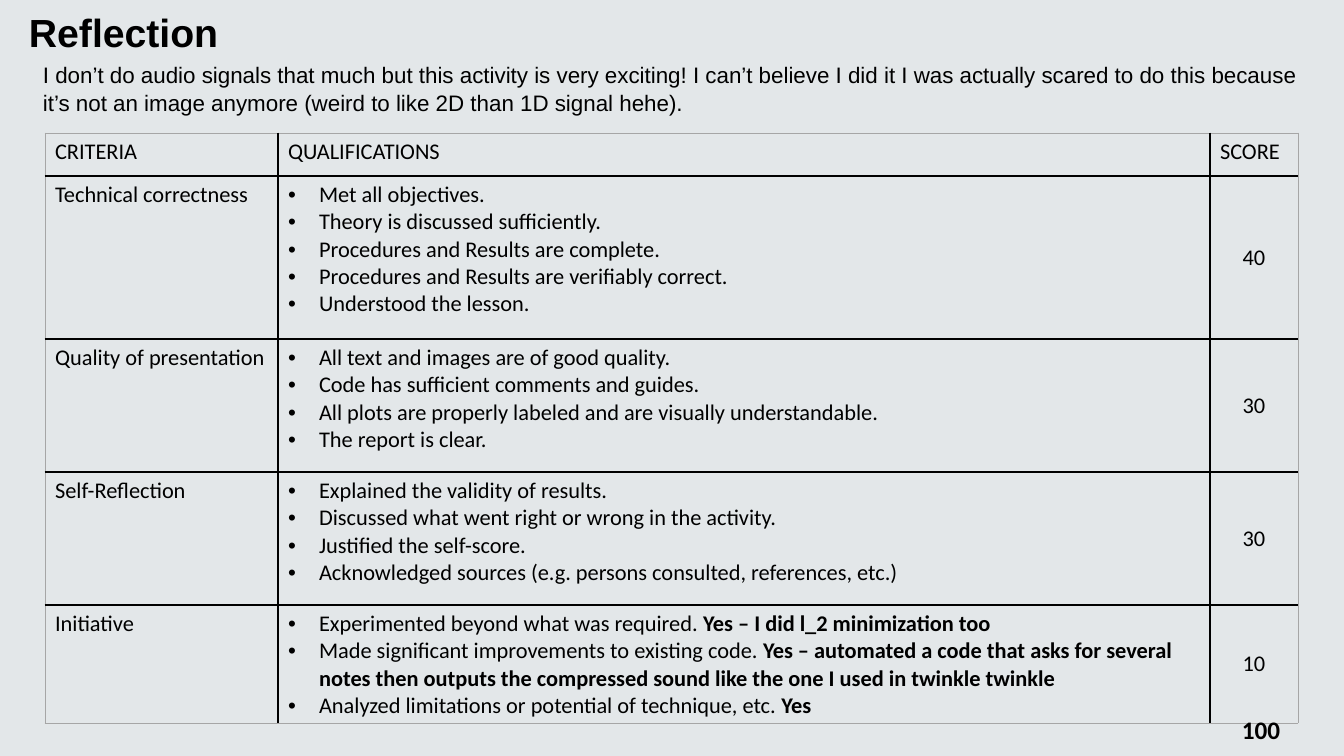
import pptx
import pptx.dml.color
import pptx.enum.shapes
import pptx.enum.text
import pptx.oxml
import pptx.oxml.ns
import pptx.util

HEADERS = ["CRITERIA", "QUALIFICATIONS", "SCORE"]
CRITERIA = [
    ("Technical correctness", [
        ("Met all objectives.",),
        ("Theory is discussed sufficiently.",),
        ("Procedures and Results are complete.",),
        ("Procedures and Results are verifiably correct.",),
        ("Understood the lesson.",)], "40"),
    ("Quality of presentation", [
        ("All text and images are of good quality.",),
        ("Code has sufficient comments and guides.",),
        ("All plots are properly labeled and are visually understandable.",),
        ("The report is clear.",)], "30"),
    ("Self-Reflection", [
        ("Explained the validity of results.",),
        ("Discussed what went right or wrong in the activity.",),
        ("Justified the self-score.",),
        ("Acknowledged sources (e.g. persons consulted, references, etc.)",)], "30"),
    ("Initiative", [
        ("Experimented beyond what was required. ",
         "Yes – I did l_2 minimization too"),
        ("Made significant improvements to existing code. ",
         "Yes – automated a code that asks for several notes then outputs "
         "the compressed sound like the one I used in twinkle twinkle"),
        ("Analyzed limitations or potential of technique, etc. ", "Yes")], "10"),
]
COLUMNS = [233, 932, 88]
ROWS = [43, 163, 133, 133, 118]
REFLECTION = (
    "I don’t do audio signals that much but this activity is very exciting! "
    "I can’t believe I did it I was actually scared to do this because "
    "it’s not an image anymore (weird to like 2D than 1D signal hehe).")


def px(n):
    return pptx.util.Emu(round(n * 914400 / 100.8))


def color(value):
    return pptx.dml.color.RGBColor.from_string(value)


class Deck:
    """Draw styled elements on the current slide."""

    ink, paper, edge = "000000", "E3E7E9", "A6A6A6"
    heading, body = "Arial", "Calibri"
    indent = 31

    def __init__(self, prs):
        self.s = prs.slides.add_slide(prs.slide_layouts[6])

    def style(self, p, font, size, bold=False):
        for r in p.runs:
            r.font.name, r.font.size, r.font.bold = font, pptx.util.Pt(size), bold
            r.font.color.rgb = color(self.ink)

    def prose(self, tf, text, size, bold=False):
        tf.word_wrap = True
        tf.vertical_anchor = pptx.enum.text.MSO_ANCHOR.TOP
        p = tf.paragraphs[0]
        p.text = text
        p.alignment = pptx.enum.text.PP_ALIGN.LEFT
        p.line_spacing = 1.07
        p._p.get_or_add_pPr().set("marL", str(px(19)))
        self.style(p, self.heading, size, bold)

    def panel(self, x, y, w, h, text, size):
        sp = self.s.shapes.add_shape(
            pptx.enum.shapes.MSO_SHAPE.RECTANGLE, px(x), px(y), px(w), px(h))
        sp.shadow.inherit = False
        sp.fill.solid()
        sp.fill.fore_color.rgb = color(self.paper)
        sp.line.fill.background()
        self.prose(sp.text_frame, text, size, True)

    def textbox(self, x, y, w, h):
        return self.s.shapes.add_textbox(px(x), px(y), px(w), px(h)).text_frame

    def paragraph(self, x, y, w, h, text, size):
        self.prose(self.textbox(x, y, w, h), text, size)

    def total(self, x, y, w, h, text, size):
        tf = self.textbox(x, y, w, h)
        tf.text = text
        self.style(tf.paragraphs[0], self.body, size, True)

    def bullets(self, tf, items):
        for i, parts in enumerate(items):
            p = tf.add_paragraph() if i else tf.paragraphs[0]
            for part in parts:
                p.add_run().text = part
            self.style(p, self.body, 16)
            for r in p.runs[1:]:
                r.font.bold = True
            pPr = p._p.get_or_add_pPr()
            pPr.set("marL", str(px(self.indent)))
            pPr.set("indent", str(-px(self.indent)))
            for tag, key, value in (("buFont", "typeface", "Arial"),
                                    ("buChar", "char", "•")):
                pPr.append(pptx.oxml.parse_xml(
                    f'<a:{tag} {pptx.oxml.ns.nsdecls("a")} {key}="{value}"/>'))

    def borders(self, cell, outer):
        tcPr = cell._tc.get_or_add_tcPr()
        for i, (side, is_outer) in enumerate(outer.items()):
            width, line = (6350, self.edge) if is_outer else (12700, self.ink)
            tcPr.insert(i, pptx.oxml.parse_xml(
                f'<a:{side} {pptx.oxml.ns.nsdecls("a")} w="{width}"><a:solidFill>'
                f'<a:srgbClr val="{line}"/></a:solidFill></a:{side}>'))

    def table(self, x, y, columns, rows, headers, criteria):
        table = self.s.shapes.add_table(
            len(rows), len(columns), px(x), px(y),
            px(sum(columns)), px(sum(rows))).table
        table.first_row = table.horz_banding = False
        for column, width in zip(table.columns, columns):
            column.width = px(width)
        for row, height in zip(table.rows, rows):
            row.height = px(height)
        for i, values in enumerate([headers, *criteria]):
            for j, value in enumerate(values):
                cell = table.cell(i, j)
                cell.fill.background()
                self.borders(cell, {
                    "lnL": j == 0, "lnR": j == len(columns) - 1,
                    "lnT": i == 0, "lnB": i == len(rows) - 1})
                if isinstance(value, list):
                    self.bullets(cell.text_frame, value)
                    continue
                cell.text_frame.text = value
                p = cell.text_frame.paragraphs[0]
                self.style(p, self.body, 16)
                if i and j == len(columns) - 1:
                    p.alignment = pptx.enum.text.PP_ALIGN.CENTER
                    cell.vertical_anchor = pptx.enum.text.MSO_ANCHOR.MIDDLE


def main():
    prs = pptx.Presentation()
    prs.slide_width, prs.slide_height = px(1344), px(756)
    deck = Deck(prs)
    deck.panel(0, 0, 1344, 756, "Reflection", 28)
    deck.paragraph(14, 54, 1314, 65, REFLECTION, 16)
    deck.table(45, 133, COLUMNS, ROWS, HEADERS, CRITERIA)
    deck.total(1232, 709, 66, 40, "100", 18)
    prs.save("out.pptx")


if __name__ == "__main__":
    main()
